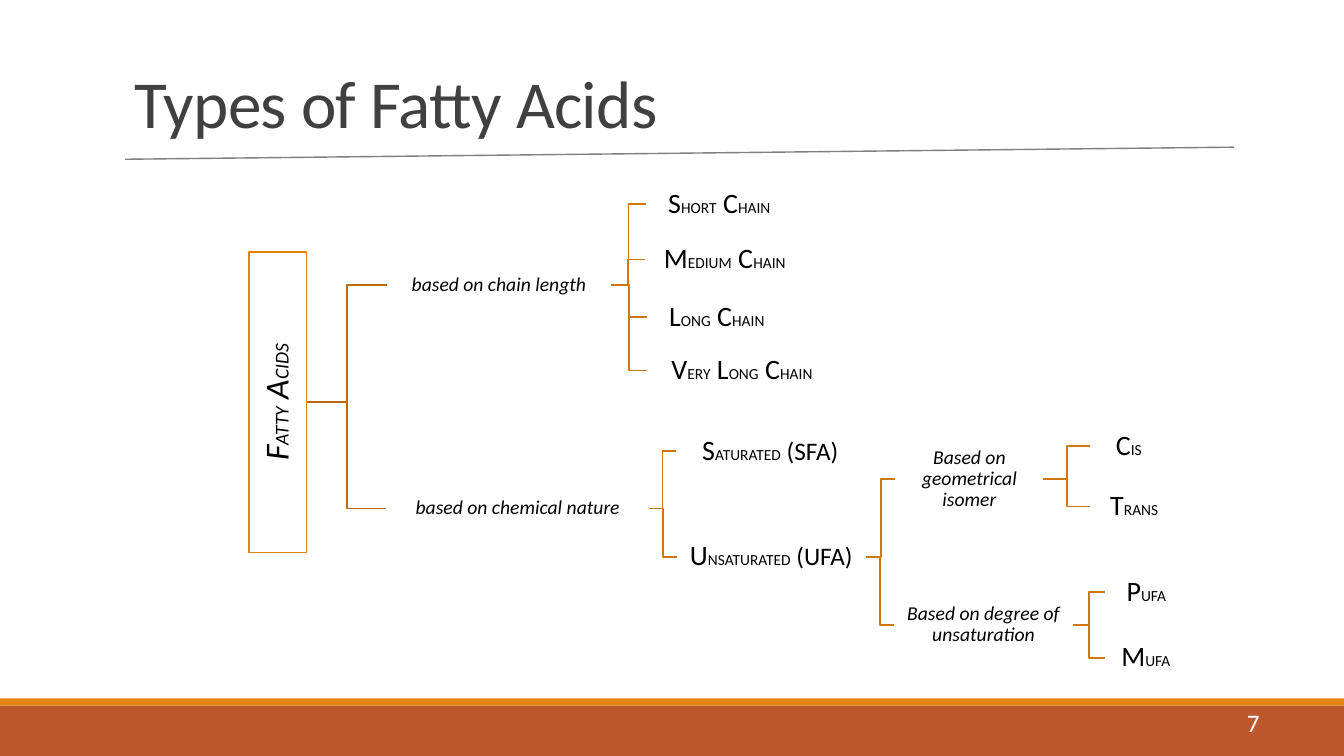
"""Build a slide with a tree of the types of fatty acids."""
from collections import namedtuple
from itertools import cycle

from lxml import etree
from pptx import Presentation
from pptx.dml.color import RGBColor
from pptx.enum.shapes import MSO_CONNECTOR, MSO_SHAPE
from pptx.enum.text import MSO_ANCHOR, PP_ALIGN
from pptx.oxml.ns import qn
from pptx.util import Inches, Pt

COLORS = {
    "white": "FFFFFF", "black": "000000", "title": "404040", "rule": "7F7F7F",
    "footer": "BD582C", "accent": "E48312", "trunk": "B7690E", "branch": "CF7710",
}
FONT = "Calibri"
CAPS = (20, 11)
ACID = (20, 11, 18)
BASIS = (14,)

Node = namedtuple("Node", "parent box label sizes")
ROOT = Node(None, (2.47, 2.5, 0.57, 2.98), "F|ATTY| A|CIDS", (24, 14))
NODES = {
    "length": Node("root", (3.85, 2.3, 2.2, 1.05), "based on chain length", BASIS),
    "short": Node("length", (6.42, 1.74, 1.43, 0.57), "S|HORT| C|HAIN", CAPS),
    "medium": Node("length", (6.41, 2.29, 1.62, 0.57), "M|EDIUM| C|HAIN| ", CAPS),
    "long": Node("length", (6.43, 2.86, 1.36, 0.57), "L|ONG| C|HAIN", CAPS),
    "very long": Node("length", (6.43, 3.39, 1.86, 0.57), "V|ERY| L|ONG| C|HAIN", CAPS),
    "nature": Node("root", (3.84, 4.75, 2.59, 0.59), "based on chemical nature", BASIS),
    "saturated": Node("nature", (6.71, 4.19, 1.86, 0.57), "S|ATURATED| (SFA)", ACID),
    "unsaturated": Node("nature", (6.72, 5.24, 1.86, 0.57), "U|NSATURATED| (UFA)", ACID),
    "isomer": Node("unsaturated", (8.89, 4.17, 1.45, 1.17), "Based on geometrical isomer", BASIS),
    "cis": Node("isomer", (10.82, 4.14, 0.75, 0.57), "C|IS", CAPS),
    "trans": Node("isomer", (10.82, 4.74, 0.86, 0.57), "T|RANS", CAPS),
    "degree": Node("unsaturated", (8.88, 5.54, 1.75, 1.32), "Based on degree of unsaturation", BASIS),
    "pufa": Node("degree", (10.97, 5.59, 0.8, 0.57), "P|UFA", CAPS),
    "mufa": Node("degree", (10.97, 6.24, 0.79, 0.57), "M|UFA", CAPS),
}


def rgb(name):
    return RGBColor.from_string(COLORS[name])


def write(sp, text, sizes, color="black", italic=False, align=PP_ALIGN.CENTER,
          anchor=MSO_ANCHOR.MIDDLE, spacing=None, inset=None, tracking=None):
    """Fill a shape with text whose parts, split at bars, cycle through sizes."""
    tf = sp.text_frame
    tf.word_wrap = True
    tf.vertical_anchor = anchor
    if inset is not None:
        tf.margin_left = tf.margin_right = Inches(inset)
        tf.margin_top = tf.margin_bottom = Inches(inset)
    p = tf.paragraphs[0]
    p.alignment = align
    p.line_spacing = spacing
    for part, size in zip(text.split("|"), cycle(sizes)):
        r = p.add_run()
        r.text = part
        r.font.name = FONT
        r.font.size = Pt(size)
        r.font.italic = italic
        r.font.color.rgb = rgb(color)
        if tracking:
            r.font._element.set("spc", str(tracking))


def text_box(s, box, text, sizes, **fmt):
    write(s.shapes.add_textbox(*map(Inches, box)), text, sizes, **fmt)


def rect(s, box, fill=None, line=None):
    sp = s.shapes.add_shape(MSO_SHAPE.RECTANGLE, *map(Inches, box))
    sp.shadow.inherit = False
    if fill:
        sp.fill.solid()
        sp.fill.fore_color.rgb = rgb(fill)
    else:
        sp.fill.background()
    if line:
        sp.line.color.rgb = rgb(line)
        sp.line.width = Pt(1.25)
    else:
        sp.line.fill.background()
    return sp


def rule(s, start, end):
    line = s.shapes.add_connector(MSO_CONNECTOR.STRAIGHT, *map(Inches, start + end))
    line.line.color.rgb = rgb("rule")
    line.line.width = Pt(1)
    etree.SubElement(line._element.spPr, qn("a:effectLst"))


def bracket(s, parent, child, color):
    """Draw a stepped line from the parent's right side to the child's left side."""
    left, top, width, height = parent
    x1, y1 = left + width, top + height / 2
    x2, y2 = child[0], child[1] + child[3] / 2
    mid = (x1 + x2) / 2
    points = [(Inches(x), Inches(y)) for x, y in ((x1, y1), (mid, y1), (mid, y2), (x2, y2))]
    builder = s.shapes.build_freeform(*points[0])
    builder.add_line_segments(points[1:], close=False)
    sp = builder.convert_to_shape()
    sp.shadow.inherit = False
    sp.fill.background()
    sp.line.color.rgb = rgb(color)
    sp.line.width = Pt(1.25)


def root_box(s):
    """Draw the root as a wide box turned upright."""
    left, top, width, height = ROOT.box
    shift = (height - width) / 2
    sp = rect(s, (left - shift, top + shift, height, width), "white", "accent")
    sp.rotation = 270
    write(sp, ROOT.label, ROOT.sizes, italic=True, spacing=0.9, inset=0.02)


def tree(s):
    for node in NODES.values():
        if node.parent == "root":
            bracket(s, ROOT.box, node.box, "trunk")
        else:
            bracket(s, NODES[node.parent].box, node.box, "branch")
    root_box(s)
    for node in NODES.values():
        sp = rect(s, node.box, line="white")
        write(sp, node.label, node.sizes, italic=node.sizes == BASIS, spacing=0.9, inset=0.01)


def main():
    prs = Presentation()
    prs.slide_width, prs.slide_height = Inches(13.33), Inches(7.5)
    s = prs.slides.add_slide(prs.slide_layouts[6])
    rect(s, (0, 7, 13.33, 0.5), "footer")
    rect(s, (0, 6.93, 13.33, 0.07), "accent")
    text_box(s, (1.24, 0.39, 11, 1.07), "Types of Fatty Acids", (48,), color="title",
             align=PP_ALIGN.LEFT, anchor=MSO_ANCHOR.BOTTOM, spacing=0.85, tracking=-50)
    rule(s, (1.24, 1.58), (12.24, 1.46))
    text_box(s, (12.2, 6.97, 0.46, 0.4), "7", (18,), color="white", anchor=MSO_ANCHOR.TOP)
    tree(s)
    prs.save("out.pptx")


if __name__ == "__main__":
    main()
